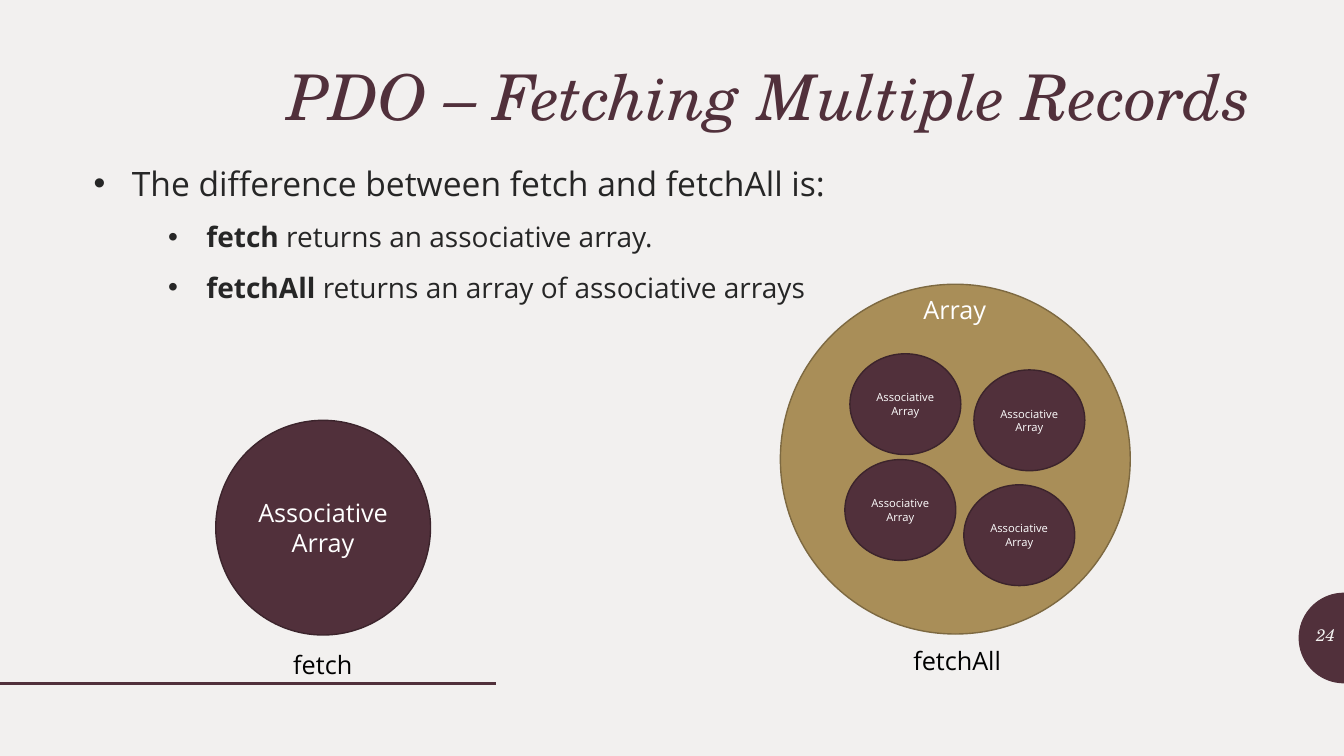
import math
import pptx
import pptx.util
import pptx.dml.color
import pptx.enum.shapes
import pptx.enum.text
import pptx.oxml.ns
import lxml.etree

Inches = pptx.util.Inches
Pt = pptx.util.Pt
ALIGN = pptx.enum.text.PP_ALIGN
ANCHOR = pptx.enum.text.MSO_ANCHOR
SHAPE = pptx.enum.shapes.MSO_SHAPE
PLUM, PLUM_EDGE = "51303B", "3C242C"
GOLD, GOLD_EDGE = "A98E58", "7D6941"
PAPER, WHITE, BLACK, INK = "F2F0EF", "FFFFFF", "000000", "262626"
SANS, SERIF = "Open Sans", "TeX Gyre Schola"


def color(value):
    return pptx.dml.color.RGBColor.from_string(value)


def write(paragraph, text, size=18, font=SANS, fill=WHITE, bold=False, italic=False, align=None):
    if align is not None:
        paragraph.alignment = align
    run = paragraph.add_run()
    run.text = text
    run.font.size = Pt(size)
    run.font.name = font
    run.font.bold = bold
    run.font.italic = italic
    run.font.color.rgb = color(fill)


presentation = pptx.Presentation()
presentation.slide_width = Inches(13.33)
presentation.slide_height = Inches(7.5)
slide = presentation.slides.add_slide(presentation.slide_layouts[5])
slide.background.fill.solid()
slide.background.fill.fore_color.rgb = color(PAPER)
shapes = slide.shapes

title = shapes.title
title.left, title.top, title.width, title.height = map(Inches, (0.83, 0.61, 11.67, 0.76))
title.text_frame.vertical_anchor = ANCHOR.TOP
title.text_frame.auto_size = pptx.enum.text.MSO_AUTO_SIZE.NONE
title_line = title.text_frame.paragraphs[0]
title_line.line_spacing = 0.9
write(title_line, "PDO – Fetching Multiple Records", size=45, font=SERIF, fill=PLUM,
      italic=True, align=ALIGN.RIGHT)

radius = 0.45
arc = [
    (Inches(13.33 - radius * math.sin(math.pi * step / 36)),
     Inches(6.33 + radius * math.cos(math.pi * step / 36)))
    for step in range(37)
]
builder = shapes.build_freeform(*arc[0])
builder.add_line_segments(arc[1:], close=True)
page_tab = builder.convert_to_shape()
page_tab.shadow.inherit = False
page_tab.fill.solid()
page_tab.fill.fore_color.rgb = color(PLUM)
page_tab.line.fill.background()

rule = shapes.add_connector(pptx.enum.shapes.MSO_CONNECTOR.STRAIGHT,
                            Inches(0), Inches(6.78), Inches(4.92), Inches(6.78))
rule.line.color.rgb = color(PLUM)
rule.line.width = Pt(2)
lxml.etree.SubElement(rule._element.spPr, pptx.oxml.ns.qn("a:effectLst"))

body = shapes.add_textbox(Inches(0.83), Inches(1.52), Inches(11.67), Inches(5.14))
body.text_frame.word_wrap = True
bullets = [
    (0, 24, 0.38, "", "The difference between fetch and fetchAll is:"),
    (1, 20, 1.12, "fetch", " returns an associative array."),
    (1, 20, 1.12, "fetchAll", " returns an array of associative arrays"),
]
for index, (level, size, indent, keyword, text) in enumerate(bullets):
    paragraph = body.text_frame.paragraphs[0] if index == 0 else body.text_frame.add_paragraph()
    paragraph.level = level
    paragraph.line_spacing = 1.12
    paragraph.space_before = Pt(9)
    properties = paragraph._p.get_or_add_pPr()
    properties.set("marL", str(Inches(indent)))
    properties.set("indent", str(Inches(-0.38)))
    bullet_font = lxml.etree.SubElement(properties, pptx.oxml.ns.qn("a:buFont"))
    bullet_font.set("typeface", "Arial")
    bullet = lxml.etree.SubElement(properties, pptx.oxml.ns.qn("a:buChar"))
    bullet.set("char", "•")
    if keyword:
        write(paragraph, keyword, size=size, fill=INK, bold=True)
    write(paragraph, text, size=size, fill=INK)

circles = [
    (7.74, 2.82, 3.47, 3.47, GOLD, GOLD_EDGE, "", 18),
    (2.14, 4.17, 2.13, 2.13, PLUM, PLUM_EDGE, "Associative Array", 18),
]
for left, top in [(8.43, 3.51), (9.66, 3.67), (8.38, 4.56), (9.56, 4.81)]:
    circles.append((left, top, 1.1, 1, PLUM, PLUM_EDGE, "Associative Array", 8))
for left, top, width, height, fill, edge, text, size in circles:
    circle = shapes.add_shape(SHAPE.OVAL, Inches(left), Inches(top), Inches(width), Inches(height))
    circle.shadow.inherit = False
    circle.fill.solid()
    circle.fill.fore_color.rgb = color(fill)
    circle.line.color.rgb = color(edge)
    circle.line.width = Pt(1)
    circle.text_frame.word_wrap = True
    circle.text_frame.vertical_anchor = ANCHOR.MIDDLE
    if text:
        write(circle.text_frame.paragraphs[0], text, size=size, align=ALIGN.CENTER)

labels = [
    (8.97, 2.87, 1, "Array", {"align": ALIGN.CENTER}),
    (2.81, 6.39, 0.79, "fetch", {"fill": BLACK}),
    (8.96, 6.35, 1.08, "fetchAll", {"fill": BLACK}),
    (12.89, 6.1, 0.45, "24", {"size": 12, "font": SERIF, "fill": PAPER, "italic": True,
                              "align": ALIGN.RIGHT}),
]
for left, top, width, text, style in labels:
    label = shapes.add_textbox(Inches(left), Inches(top), Inches(width), Inches(0.4))
    label.text_frame.word_wrap = False
    label.text_frame.vertical_anchor = ANCHOR.MIDDLE
    write(label.text_frame.paragraphs[0], text, **style)

presentation.save("out.pptx")
